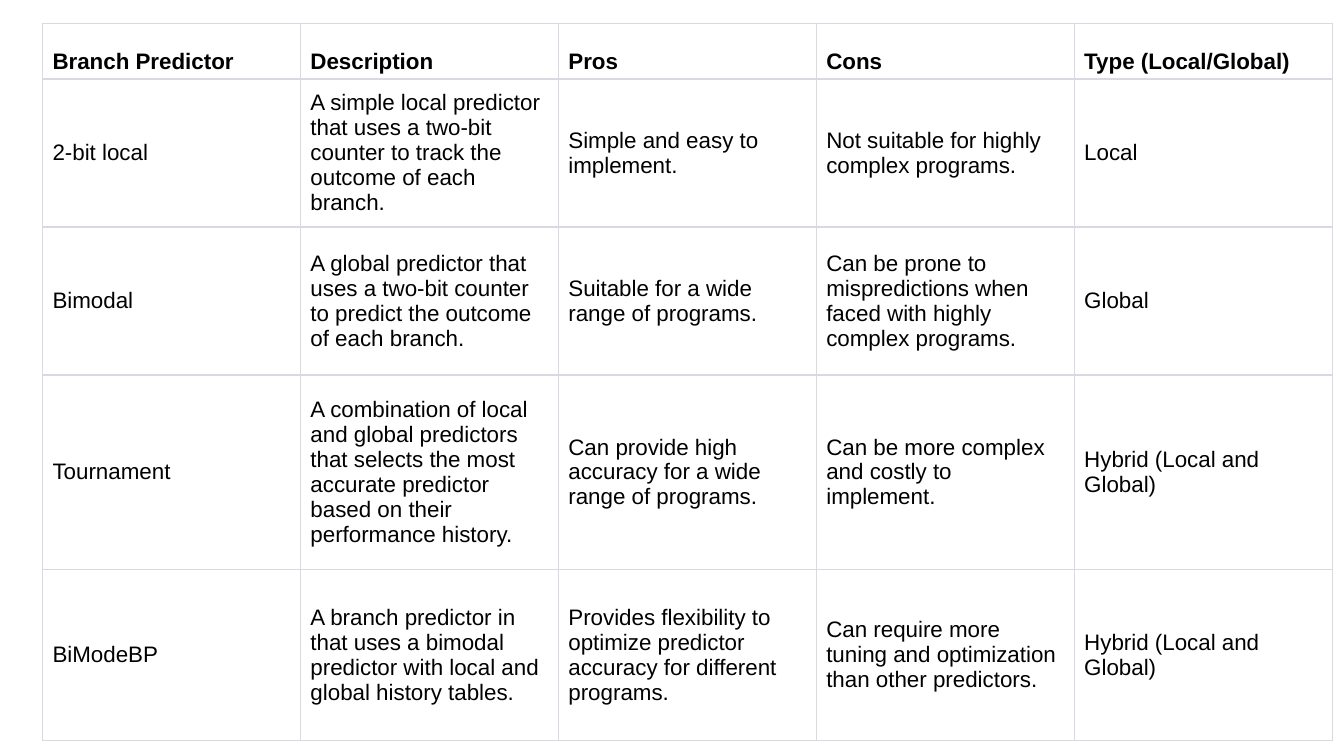
"""Build a slide with a table that compares branch predictors."""
from dataclasses import astuple, dataclass

from lxml.etree import SubElement
from pptx import Presentation
from pptx.dml.color import RGBColor
from pptx.enum.text import MSO_VERTICAL_ANCHOR as Anchor
from pptx.oxml.ns import qn
from pptx.table import _Cell as Cell
from pptx.util import Cm, Pt

BLACK = RGBColor(0x00, 0x00, 0x00)
BORDER_GREY = RGBColor(0xD9, 0xD9, 0xE3)
COLUMN_WIDTH = Cm(6.5)
ROW_HEIGHTS = [Cm(1.39), Cm(3.73), Cm(3.73), Cm(4.9), Cm(4.31)]
THIN, THICK = Pt(0.75), Pt(1)


@dataclass
class Predictor:
    """One row of the comparison."""

    name: str
    description: str
    pros: str
    cons: str
    scope: str


HEADER = Predictor("Branch Predictor", "Description", "Pros", "Cons", "Type (Local/Global)")
PREDICTORS = [
    Predictor(
        "2-bit local",
        "A simple local predictor that uses a two-bit counter to track the outcome of each branch.",
        "Simple and easy to implement.",
        "Not suitable for highly complex programs.",
        "Local",
    ),
    Predictor(
        "Bimodal",
        "A global predictor that uses a two-bit counter to predict the outcome of each branch.",
        "Suitable for a wide range of programs.",
        "Can be prone to mispredictions when faced with highly complex programs.",
        "Global",
    ),
    Predictor(
        "Tournament",
        "A combination of local and global predictors that selects the most accurate predictor "
        "based on their performance history.",
        "Can provide high accuracy for a wide range of programs.",
        "Can be more complex and costly to implement.",
        "Hybrid (Local and Global)",
    ),
    Predictor(
        "BiModeBP",
        "A branch predictor in that uses a bimodal predictor with local and global history tables.",
        "Provides flexibility to optimize predictor accuracy for different programs.",
        "Can require more tuning and optimization than other predictors.",
        "Hybrid (Local and Global)",
    ),
]


def set_borders(cell: Cell, top: Pt, bottom: Pt) -> None:
    """Draw the four cell borders, with thin sides."""
    properties = cell._tc.get_or_add_tcPr()
    for tag, width in (("a:lnL", THIN), ("a:lnR", THIN), ("a:lnT", top), ("a:lnB", bottom)):
        line = SubElement(properties, qn(tag), w=str(int(width)))
        fill = SubElement(line, qn("a:solidFill"))
        SubElement(fill, qn("a:srgbClr"), val=str(BORDER_GREY))


def write_cell(cell: Cell, text: str, is_header: bool) -> None:
    """Put one styled run of text in a cell."""
    cell.vertical_anchor = Anchor.BOTTOM if is_header else Anchor.MIDDLE
    run = cell.text_frame.paragraphs[0].add_run()
    run.text = text
    run.font.name = "Arial"
    run.font.size = Pt(16)
    run.font.bold = is_header
    run.font.color.rgb = BLACK


def main() -> None:
    """Create the presentation and save it."""
    presentation = Presentation()
    presentation.slide_width, presentation.slide_height = Cm(33.87), Cm(19.05)
    slide = presentation.slides.add_slide(presentation.slide_layouts[6])

    rows = [astuple(predictor) for predictor in [HEADER, *PREDICTORS]]
    column_count = len(rows[0])
    table = slide.shapes.add_table(
        len(rows), column_count, Cm(1.07), Cm(0.6), COLUMN_WIDTH * column_count, sum(ROW_HEIGHTS)
    ).table
    table.first_row = table.horz_banding = False
    for column in table.columns:
        column.width = COLUMN_WIDTH

    last_row = len(rows) - 1
    for row_index, (texts, height) in enumerate(zip(rows, ROW_HEIGHTS)):
        table.rows[row_index].height = height
        top = THIN if row_index == 0 else THICK
        bottom = THIN if row_index == last_row else THICK
        for column_index, text in enumerate(texts):
            cell = table.cell(row_index, column_index)
            set_borders(cell, top, bottom)
            cell.fill.background()
            write_cell(cell, text, row_index == 0)

    presentation.save("out.pptx")


if __name__ == "__main__":
    main()
